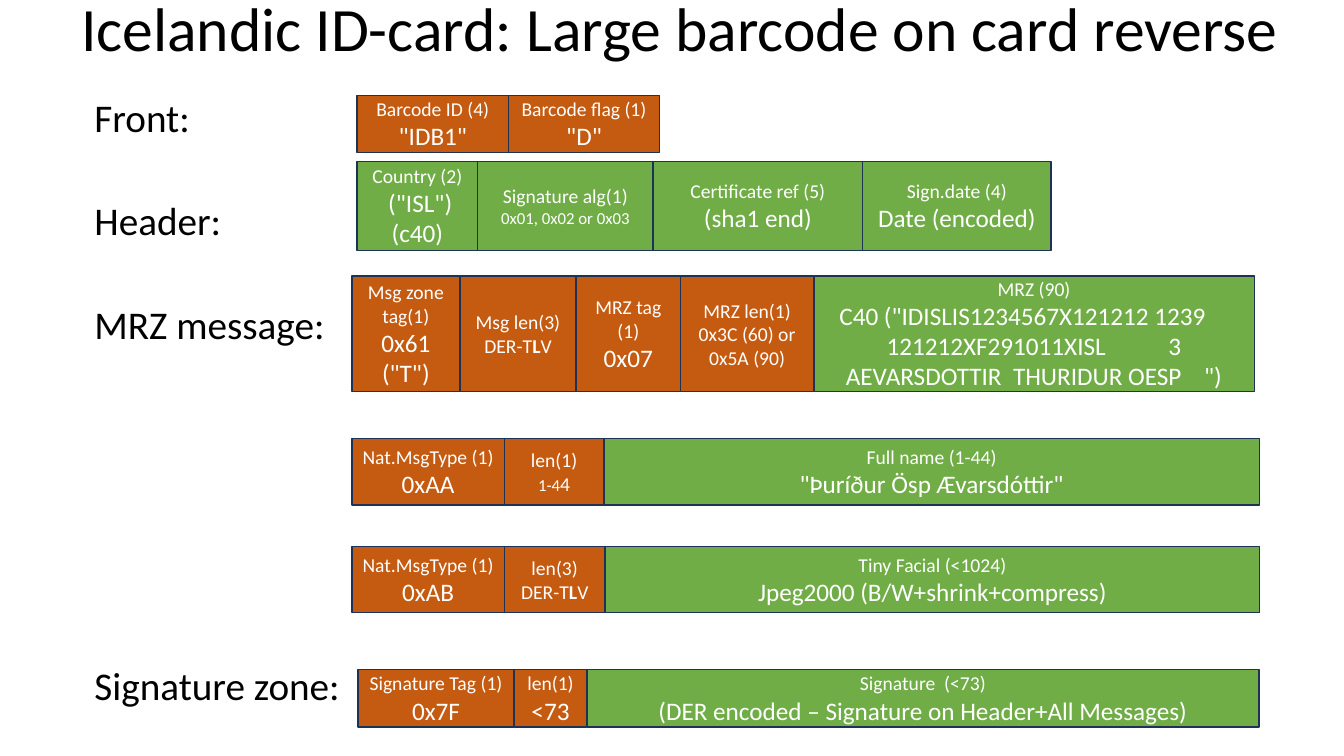
from pptx import Presentation
from pptx.dml.color import RGBColor
from pptx.enum.shapes import MSO_SHAPE
from pptx.enum.text import MSO_ANCHOR, PP_ALIGN
from pptx.util import Cm, Pt

RECTANGLE = MSO_SHAPE.RECTANGLE
MIDDLE = MSO_ANCHOR.MIDDLE
LEFT, CENTER = PP_ALIGN.LEFT, PP_ALIGN.CENTER

FONT = "Calibri"
COLOURS = {"tag": "C55A11", "data": "70AD47", "border": "1E3256",
           "dark": "000000", "light": "FFFFFF"}

# Content: a line is a list of runs (text, size) or (text, size, bold)
TITLE = "Icelandic ID-card: Large barcode on card reverse"
ZONES = [("Front:", 2.95), ("Header:", 5.55),  # label, centre height in cm
         ("MRZ message:", 8.15), ("Signature zone:", 17.27)]
DER_TLV = [("DER-T", 14), ("L", 14, True), ("V", 14)]


def lines(caption, *values, size=18):
    return [[(caption, 14)]] + [[(value, size)] for value in values]


# Each row: left, top, height in cm, then fields (width, kind, lines)
ROWS = [
    (9.0, 2.4, 1.44, [
        (3.82, "tag", lines("Barcode ID (4)", '"IDB1"')),
        (3.8, "tag", lines("Barcode flag (1)", '"D"')),
    ]),
    (9.0, 4.07, 2.24, [
        (3.04, "data", lines("Country (2)", ' ("ISL")(c40)')),
        (4.42, "data", lines("Signature alg(1)", "0x01, 0x02 or 0x03", size=12)),
        (5.28, "data", lines("Certificate ref (5)", "(sha1 end)")),
        (4.75, "data", lines("Sign.date (4)", "Date (encoded)")),
    ]),
    (8.87, 6.96, 2.9, [
        (2.72, "tag", lines("Msg zone tag(1)", '0x61 ("T")')),
        (2.93, "tag", lines("Msg len(3)") + [DER_TLV]),
        (2.63, "tag", lines("MRZ tag (1)", "0x07")),
        (3.36, "tag", lines("MRZ len(1)", "0x3C (60) or 0x5A (90)", size=14)),
        (11.1, "data", lines("MRZ (90)",
                             'C40 ("IDISLIS1234567X121212 1239    ',
                             "121212XF291011XISL           3",
                             'AEVARSDOTTIR  THURIDUR OESP    ")')),
    ]),
    (8.87, 11.05, 1.68, [
        (3.84, "tag", lines("Nat.MsgType (1)", "0xAA")),
        (2.51, "tag", lines("len(1)") + [[("1-4", 12), ("4", 14)]]),
        (16.52, "data", lines("Full name (1-44)", '"Þuríður Ösp Ævarsdóttir"')),
    ]),
    (8.87, 13.77, 1.67, [
        (3.84, "tag", lines("Nat.MsgType (1)", "0xAB")),
        (2.54, "tag", lines("len(3)") + [DER_TLV]),
        (16.5, "data", lines("Tiny Facial (<1024)", "Jpeg2000 (B/W+shrink+compress)")),
    ]),
    (9.02, 16.87, 1.45, [
        (3.94, "tag", lines("Signature Tag (1)", "0x7F")),
        (1.83, "tag", lines("len(1)", "<73")),
        (16.94, "data", lines("Signature  (<73)",
                              "(DER encoded – Signature on Header+All Messages)")),
    ]),
]


def colour(name):
    return RGBColor.from_string(COLOURS[name])


def write(frame, text_lines, ink, align):
    frame.word_wrap = True
    frame.vertical_anchor = MIDDLE
    for i, runs in enumerate(text_lines):
        paragraph = frame.paragraphs[0] if i == 0 else frame.add_paragraph()
        paragraph.alignment = align
        for text, size, *bold in runs:
            run = paragraph.add_run()
            run.text = text
            run.font.name = FONT
            run.font.size = Pt(size)
            run.font.bold = bool(bold)
            run.font.color.rgb = colour(ink)


def add_label(slide, text, size, left, centre, width, height):
    label = slide.shapes.add_textbox(Cm(left), Cm(centre - height / 2),
                                     Cm(width), Cm(height))
    write(label.text_frame, [[(text, size)]], "dark", LEFT)


def add_field(slide, left, top, width, height, kind, text_lines):
    field = slide.shapes.add_shape(RECTANGLE, Cm(left), Cm(top), Cm(width), Cm(height))
    field.shadow.inherit = False
    field.fill.solid()
    field.fill.fore_color.rgb = colour(kind)
    field.line.color.rgb = colour("border")
    field.line.width = Pt(1)
    write(field.text_frame, text_lines, "light", CENTER)


def main():
    deck = Presentation()
    deck.slide_width, deck.slide_height = Cm(33.87), Cm(19.05)
    slide = deck.slides.add_slide(deck.slide_layouts[6])

    # Title and zone labels
    add_label(slide, TITLE, 44, 1.8, 0.67, 31.25, 3.48)
    for zone, centre in ZONES:
        add_label(slide, zone, 28, 2.13, centre, 6.8, 1.5)

    # Fields follow one another from the left of each row
    for left, top, height, fields in ROWS:
        for width, kind, text_lines in fields:
            add_field(slide, left, top, width, height, kind, text_lines)
            left += width

    deck.save("out.pptx")


if __name__ == "__main__":
    main()
